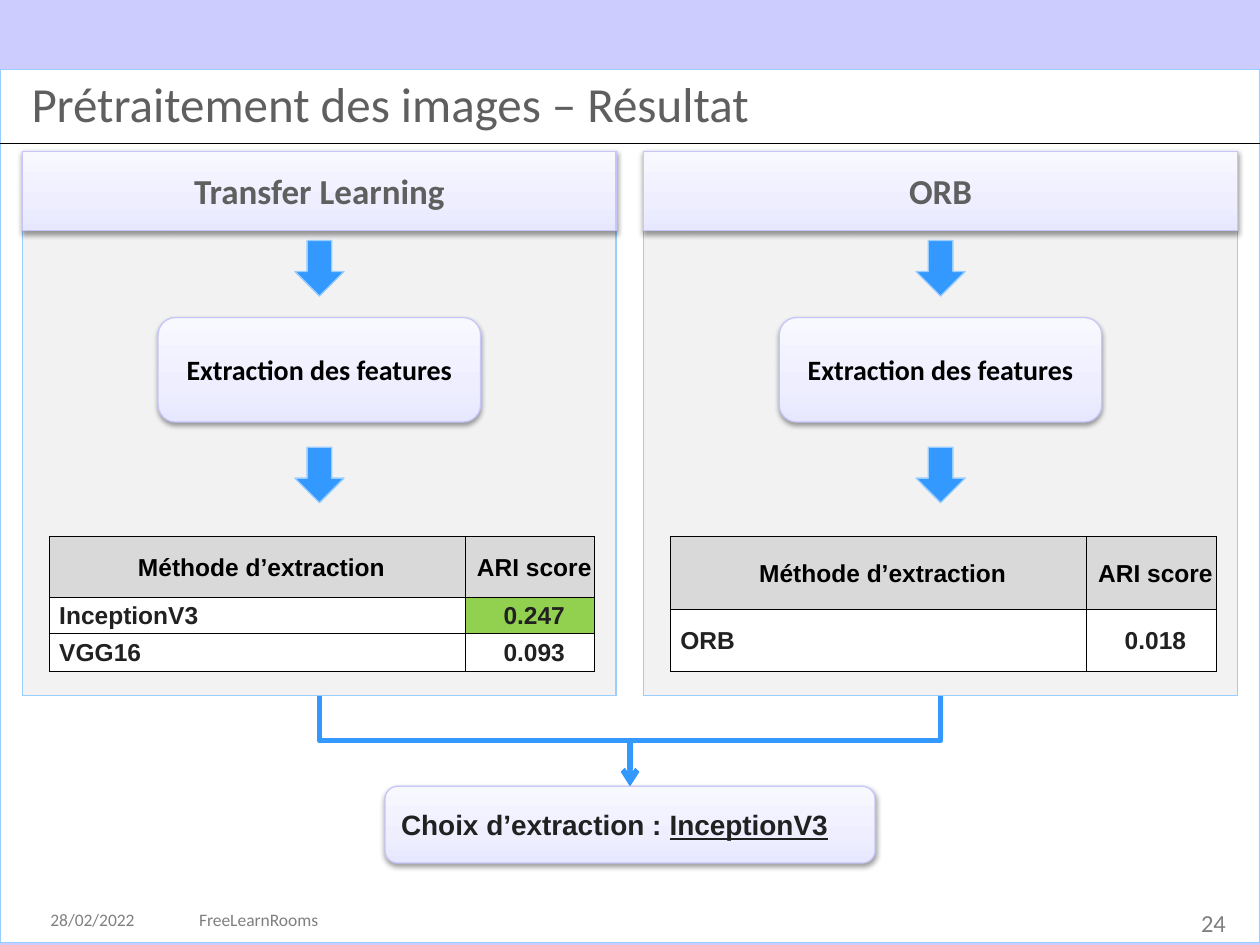
from pptx import Presentation
from pptx.dml.color import RGBColor
from pptx.enum.shapes import MSO_CONNECTOR, MSO_SHAPE
from pptx.enum.text import MSO_ANCHOR, PP_ALIGN
from pptx.oxml import parse_xml
from pptx.oxml.ns import nsdecls
from pptx.util import Inches, Pt

TITLE = "Prétraitement des images – Résultat"
STEP = "Extraction des features"
HEAD = ("Méthode d’extraction", "ARI score")
PANELS = [
    {"name": "Transfer Learning", "rows": [("InceptionV3", "0.247"), ("VGG16", "0.093")],
     "heights": (0.48, 0.29, 0.3), "best": "0.247"},
    {"name": "ORB", "rows": [("ORB", "0.018")], "heights": (0.58, 0.49), "best": None},
]
CHOICE = [("Choix d’extraction : ", False), ("InceptionV3", True)]
FOOTER = [("28/02/2022", 0.4, 0.68, 10, PP_ALIGN.LEFT),
          ("FreeLearnRooms", 1.58, 1.02, 10, PP_ALIGN.LEFT),
          ("24", 9.38, 0.35, 14, PP_ALIGN.RIGHT)]

WIDE, HIGH = 10, 7.5
LEFT, PITCH, PANEL_W = 0.18, 4.93, 4.71
TOP, PANEL_H, HEAD_H = 1.2, 4.32, 0.63
ARROW_W, ARROW_H, ARROW_TOPS = 0.39, 0.44, (1.91, 3.55)
STEP_W, STEP_H, STEP_TOP = 2.56, 0.83, 2.52
COLS, TABLE_TOP, TABLE_DX = (3.3, 1.03), 4.26, 0.21
CHOICE_W, CHOICE_H, CHOICE_TOP = 3.89, 0.61, 6.24
SKY, BLUE, LILAC, GREY, INK = "99CCFF", "3399FF", "C6C6FB", "5F5F5F", "212121"
SHEEN = [(0, "E7E7FF"), (35, "EEEEFF"), (100, "F8F8FF")]


def color(code):
    return RGBColor.from_string(code)


def paint(fill, code):
    fill.solid()
    fill.fore_color.rgb = color(code)


def write(frame, runs, size, code, font="Calibri", bold=False,
          align=PP_ALIGN.LEFT, spacing=None):
    """Fill the first paragraph with (text, underlined) runs."""
    para = frame.paragraphs[0]
    para.alignment = align
    if spacing:
        para.line_spacing = spacing
    for text, under in runs:
        run = para.add_run()
        run.text = text
        look = {"name": font, "size": Pt(size), "bold": bold, "underline": under}
        for key, value in look.items():
            setattr(run.font, key, value)
        run.font.color.rgb = color(code)


def label(slide, text, box, size, code, **style):
    frame = slide.shapes.add_textbox(*map(Inches, box)).text_frame
    for side in ("left", "top", "right", "bottom"):
        setattr(frame, f"margin_{side}", 0)
    write(frame, [(text, False)], size, code, **style)
    return frame


def block(slide, kind, box, fill, line):
    shape = slide.shapes.add_shape(kind, *map(Inches, box))
    shape.shadow.inherit = False
    paint(shape.fill, fill)
    shape.line.color.rgb = color(line)
    shape.line.width = Pt(0.75)
    return shape


def card(slide, kind, box, runs, size, code, wrap=False, **style):
    """Add a raised block with a soft gradient, a shadow and text."""
    shape = block(slide, kind, box, SHEEN[0][1], LILAC)
    stops = "".join(f'<a:gs pos="{pos * 1000}"><a:srgbClr val="{val}"/></a:gs>'
                    for pos, val in SHEEN)
    props = shape.element.spPr
    props.replace(props.find("{*}solidFill"), parse_xml(
        f'<a:gradFill {nsdecls("a")} rotWithShape="1"><a:gsLst>{stops}</a:gsLst>'
        '<a:lin ang="16200000" scaled="0"/></a:gradFill>'))
    props.find("{*}effectLst").append(parse_xml(
        f'<a:outerShdw {nsdecls("a")} blurRad="{Pt(3.1)}" dist="{Pt(1.6)}" dir="5400000" '
        'rotWithShape="0"><a:srgbClr val="000000"><a:alpha val="38000"/></a:srgbClr>'
        '</a:outerShdw>'))
    frame = shape.text_frame
    frame.word_wrap = wrap
    frame.vertical_anchor = MSO_ANCHOR.MIDDLE
    write(frame, runs, size, code, bold=True, **style)


def scores(slide, left, panel):
    rows = [HEAD] + panel["rows"]
    table = slide.shapes.add_table(
        len(rows), len(COLS), Inches(left), Inches(TABLE_TOP),
        Inches(sum(COLS)), Inches(sum(panel["heights"]))).table
    for col, width in zip(table.columns, COLS):
        col.width = Inches(width)
    for r, (row, height) in enumerate(zip(rows, panel["heights"])):
        table.rows[r].height = Inches(height)
        for c, text in enumerate(row):
            cell = table.cell(r, c)
            form = {"margin_left": Inches(0.08), "margin_top": Inches(0.01),
                    "margin_right": Inches(0.01), "margin_bottom": 0,
                    "vertical_anchor": MSO_ANCHOR.MIDDLE}
            for key, value in form.items():
                setattr(cell, key, value)
            props = cell._tc.get_or_add_tcPr()
            for side in ("lnL", "lnR", "lnT", "lnB"):
                props.append(parse_xml(
                    f'<a:{side} {nsdecls("a")} w="{Pt(0.5)}"><a:solidFill>'
                    f'<a:srgbClr val="000000"/></a:solidFill></a:{side}>'))
            paint(cell.fill, "D9D9D9" if r == 0
                  else "92D050" if text == panel["best"] else "FFFFFF")
            write(cell.text_frame, [(text, False)], 14, INK if r else "000000", "Arial", True,
                  PP_ALIGN.CENTER if r == 0 or c else PP_ALIGN.LEFT)


def join(slide, kind, ends, code, width):
    line = slide.shapes.add_connector(kind, *map(Inches, ends))
    line.line.color.rgb = color(code)
    line.line.width = Pt(width)
    line._element.spPr.append(parse_xml(f'<a:effectLst {nsdecls("a")}/>'))
    return line


def elbow(slide, start, end):
    """Run down, across and down: a level elbow turned by a quarter."""
    (x1, y1), (x2, y2) = start, end
    mid_x, mid_y = (x1 + x2) / 2, (y1 + y2) / 2
    half_w, half_h = (y2 - y1) / 2, abs(x2 - x1) / 2
    turn = 1 if x1 > x2 else -1
    line = join(slide, MSO_CONNECTOR.ELBOW,
                (mid_x - turn * half_w, mid_y - half_h, mid_x + turn * half_w, mid_y + half_h),
                BLUE, 3)
    props = line._element.spPr
    props.find("{*}xfrm").set("rot", str(turn % 4 * 90 * 60000))
    props.find("{*}ln").append(parse_xml(f'<a:tailEnd {nsdecls("a")} type="arrow"/>'))


def main():
    deck = Presentation()
    deck.slide_width, deck.slide_height = Inches(WIDE), Inches(HIGH)
    slide = deck.slides.add_slide(deck.slide_layouts[6])
    paint(slide.background.fill, "CCCCFF")
    block(slide, MSO_SHAPE.RECTANGLE, (0, 0.55, WIDE, 6.93), "FFFFFF", SKY)
    join(slide, MSO_CONNECTOR.STRAIGHT, (0, 1.14, WIDE, 1.14), "000000", 0.75)
    title = label(slide, TITLE, (0.25, 0.66, 9.75, 0.39), 28, GREY, spacing=0.8)
    title.word_wrap = True
    title.vertical_anchor = MSO_ANCHOR.BOTTOM
    for text, left, width, size, align in FOOTER:
        label(slide, text, (left, 7.23, width, size * 0.015), size, "808080",
              align=align, spacing=0.9)

    for i, panel in enumerate(PANELS):
        left = LEFT + i * PITCH
        mid = left + PANEL_W / 2
        block(slide, MSO_SHAPE.RECTANGLE, (left, TOP, PANEL_W, PANEL_H), "F2F2F2", SKY)
        card(slide, MSO_SHAPE.RECTANGLE, (left, TOP, PANEL_W, HEAD_H),
             [(panel["name"], False)], 20, GREY, align=PP_ALIGN.CENTER)
        for top in ARROW_TOPS:
            block(slide, MSO_SHAPE.DOWN_ARROW,
                  (mid - ARROW_W / 2, top, ARROW_W, ARROW_H), BLUE, SKY)
        card(slide, MSO_SHAPE.ROUNDED_RECTANGLE, (mid - STEP_W / 2, STEP_TOP, STEP_W, STEP_H),
             [(STEP, False)], 16, "000000", align=PP_ALIGN.CENTER)
        scores(slide, left + TABLE_DX, panel)
        elbow(slide, (mid, TOP + PANEL_H), (WIDE / 2, CHOICE_TOP))

    card(slide, MSO_SHAPE.ROUNDED_RECTANGLE,
         ((WIDE - CHOICE_W) / 2, CHOICE_TOP, CHOICE_W, CHOICE_H),
         CHOICE, 16, INK, wrap=True, font="Arial")
    deck.save("out.pptx")


if __name__ == "__main__":
    main()
